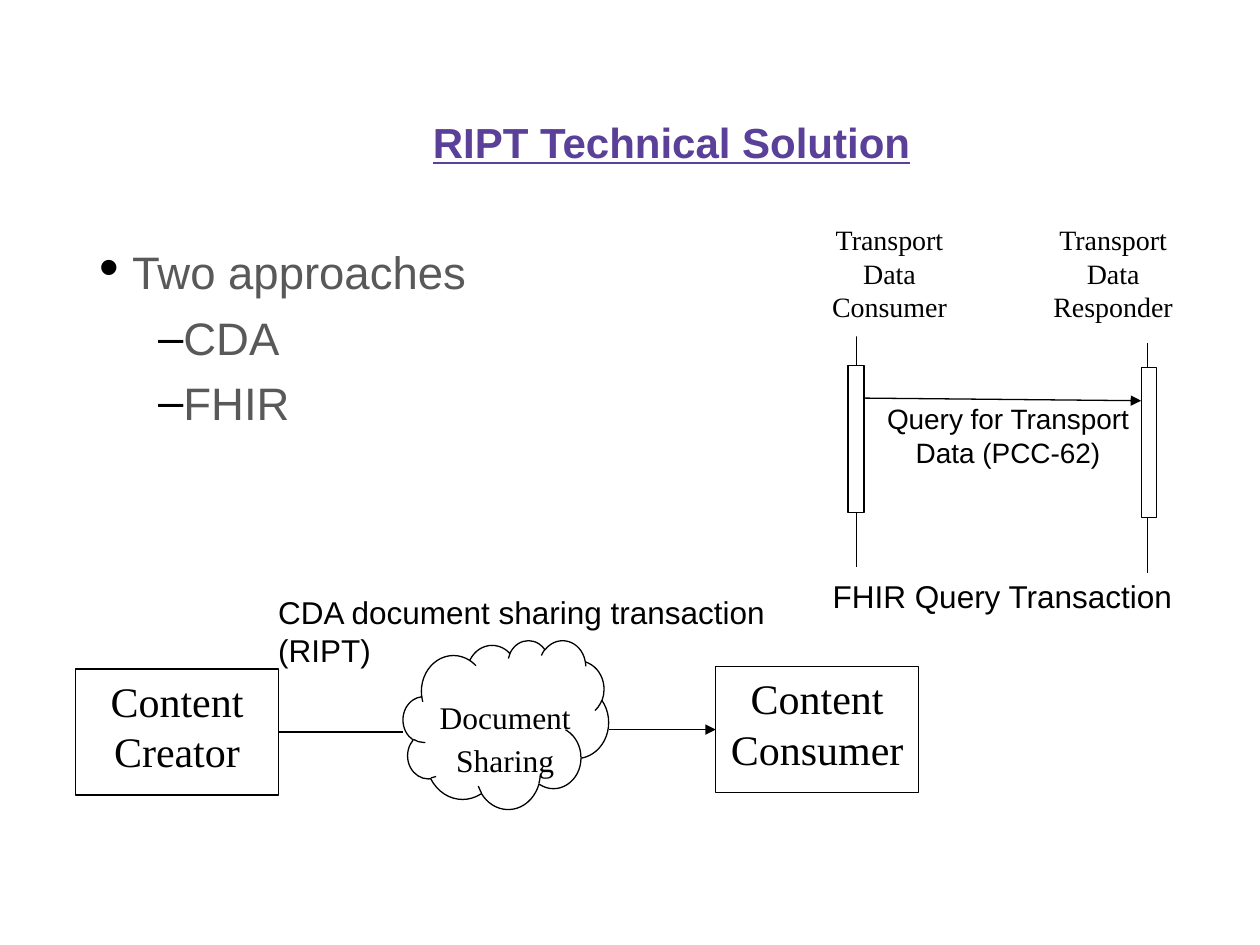
from dataclasses import dataclass, field
from typing import Any

import pptx
import pptx.dml.color
import pptx.enum.shapes
import pptx.enum.text
import pptx.oxml.ns
import pptx.util
from lxml import etree

Pt = pptx.util.Pt
Shape = pptx.enum.shapes.MSO_SHAPE
Align = pptx.enum.text.PP_ALIGN
Anchor = pptx.enum.text.MSO_ANCHOR
qn = pptx.oxml.ns.qn

BLACK = pptx.dml.color.RGBColor(0x00, 0x00, 0x00)
WHITE = pptx.dml.color.RGBColor(0xFF, 0xFF, 0xFF)
GREY = pptx.dml.color.RGBColor(0x59, 0x59, 0x59)
PURPLE = pptx.dml.color.RGBColor(0x5A, 0x40, 0x99)
THIN = Pt(0.75)

Frame = tuple[float, float, float, float]
Point = tuple[float, float]


def face(name: str, size: float, **extra: Any) -> dict[str, Any]:
    return {"name": name, "size": Pt(size), **extra}


ACTOR_FONT = face("Times New Roman", 16)
CLOUD_FONT = face("Times New Roman", 18)
CONTENT_FONT = face("Times New Roman", 24)
MESSAGE_FONT = face("Arial", 16)
LABEL_FONT = face("Arial", 18)
TITLE_FONT = face("Arial", 24, bold=True, underline=True)
BULLET_FONT = face("Arial", 26)
LEAD_FONT = face("Calibri", 32)


@dataclass
class Label:
    frame: Frame
    text: str
    font: dict[str, Any]
    color: pptx.dml.color.RGBColor = BLACK
    margins: tuple[float, float] = (7.2, 3.6)
    anchor: Any = Anchor.TOP
    layout: dict[str, Any] = field(default_factory=lambda: {"alignment": Align.CENTER})


@dataclass
class Bullet:
    mark: str
    text: str
    level: int
    left: float
    hang: float
    before: float
    lead: str = ""


def apply(target: Any, values: dict[str, Any]) -> None:
    for name, value in values.items():
        setattr(target, name, value)


def add_span(para: Any, text: str, font: dict[str, Any], color: Any) -> None:
    span = para.add_run()
    span.text = text
    apply(span.font, font)
    span.font.color.rgb = color


def prepare_frame(shape: Any, margins: tuple[float, float], anchor: Any) -> Any:
    side, top = (Pt(margin) for margin in margins)
    apply(shape.text_frame, {
        "word_wrap": True, "vertical_anchor": anchor,
        "margin_left": side, "margin_right": side,
        "margin_top": top, "margin_bottom": top,
    })
    return shape.text_frame


def write_label(shape: Any, label: Label) -> None:
    para = prepare_frame(shape, label.margins, label.anchor).paragraphs[0]
    apply(para, label.layout)
    add_span(para, label.text, label.font, label.color)


def add_label(page: Any, label: Label) -> None:
    write_label(page.shapes.add_textbox(*map(Pt, label.frame)), label)


def add_box(page: Any, frame: Frame, kind: Any = Shape.RECTANGLE, outlined: bool = True) -> Any:
    box = page.shapes.add_shape(kind, *map(Pt, frame))
    box.shadow.inherit = False
    box.fill.solid()
    box.fill.fore_color.rgb = WHITE
    if outlined:
        box.line.color.rgb = BLACK
        box.line.width = THIN
    else:
        box.line.fill.background()
    return box


def add_text_box(page: Any, label: Label, outlined: bool) -> Any:
    box = add_box(page, label.frame, outlined=outlined)
    write_label(box, label)
    return box


def add_line(page: Any, start: Point, end: Point, arrow: bool = False) -> Any:
    line = page.shapes.add_connector(
        pptx.enum.shapes.MSO_CONNECTOR.STRAIGHT, *map(Pt, start + end))
    line.line.color.rgb = BLACK
    line.line.width = THIN
    if arrow:
        etree.SubElement(line.line._get_or_add_ln(), qn("a:tailEnd"), type="triangle")
    etree.SubElement(line._element.spPr, qn("a:effectLst"))
    return line


def add_bullets(page: Any, frame: Frame, bullets: list[Bullet]) -> None:
    box = page.shapes.add_textbox(*map(Pt, frame))
    text = prepare_frame(box, (7.2, 7.2), Anchor.TOP)
    for index, bullet in enumerate(bullets):
        para = text.add_paragraph() if index else text.paragraphs[0]
        properties = para._p.get_or_add_pPr()
        properties.set("marL", str(Pt(bullet.left)))
        properties.set("indent", str(-Pt(bullet.hang)))
        tint = etree.SubElement(properties, qn("a:buClr"))
        etree.SubElement(tint, qn("a:srgbClr"), val=str(BLACK))
        etree.SubElement(properties, qn("a:buFont"), typeface="Arial")
        etree.SubElement(properties, qn("a:buChar"), char=bullet.mark)
        apply(para, {"level": bullet.level, "space_before": Pt(bullet.before)})
        if bullet.lead:
            add_span(para, bullet.lead, LEAD_FONT, BLACK)
        add_span(para, bullet.text, BULLET_FONT, GREY)


def draw_query_sequence(page: Any) -> None:
    add_line(page, (655.9, 195.8), (655.9, 327.6))
    add_line(page, (489.6, 191.5), (489.6, 324))
    add_text_box(page, Label((465.1, 123.8, 86.4, 68.4), "Transport Data Consumer",
                             ACTOR_FONT), outlined=False)
    add_box(page, (484.6, 208.8, 9.2, 84.2))
    add_text_box(page, Label((591.8, 123.8, 88.6, 69.8), "Transport Data Responder",
                             ACTOR_FONT), outlined=False)
    add_box(page, (652.1, 210.2, 8.6, 85.7))
    add_label(page, Label((499, 226.1, 154.1, 38.9), "Query for Transport Data (PCC-62)",
                          MESSAGE_FONT))
    add_line(page, (493.8, 227.5), (652.1, 229), arrow=True)


def draw_document_sharing(page: Any) -> None:
    creator = add_text_box(page, Label((43.2, 382.3, 115.9, 72), "Content Creator",
                                       CONTENT_FONT), outlined=True)
    add_box(page, (230.4, 365.8, 117.4, 96.5), Shape.CLOUD)
    consumer = add_text_box(page, Label((409, 380.9, 115.9, 72), "Content Consumer",
                                        CONTENT_FONT), outlined=True)
    add_label(page, Label((224.6, 392.4, 128.2, 59), "Document Sharing", CLOUD_FONT,
                          layout={"alignment": Align.CENTER, "line_spacing": 1.13}))
    add_line(page, (159.1, 418.3), (230.4, 418.3)).begin_connect(creator, 3)
    add_line(page, (347.8, 416.9), (409, 416.9), arrow=True).end_connect(consumer, 1)


def main() -> None:
    deck = pptx.Presentation()
    deck.slide_width, deck.slide_height = Pt(720), Pt(540)
    page = deck.slides.add_slide(deck.slide_layouts[6])

    add_label(page, Label((59.8, 36, 648, 90), "RIPT Technical Solution", TITLE_FONT, PURPLE,
                          margins=(7.2, 7.2), anchor=Anchor.MIDDLE))
    add_bullets(page, (33.8, 126, 648, 356.4), [
        Bullet("•", "Two approaches", 0, 27, 10.8, 0, lead=" "),
        Bullet("–", "CDA", 1, 58.5, 9, 5.6),
        Bullet("–", "FHIR", 1, 58.5, 9, 5.6),
    ])
    draw_query_sequence(page)
    draw_document_sharing(page)
    for frame, text in (
        ((468.7, 326.2, 214.6, 28.8), "FHIR Query Transaction"),
        ((151.9, 335.5, 292.3, 50.4), "CDA document sharing transaction (RIPT)"),
    ):
        add_label(page, Label(frame, text, LABEL_FONT, layout={"alignment": Align.LEFT}))
    deck.save("out.pptx")


if __name__ == "__main__":
    main()
